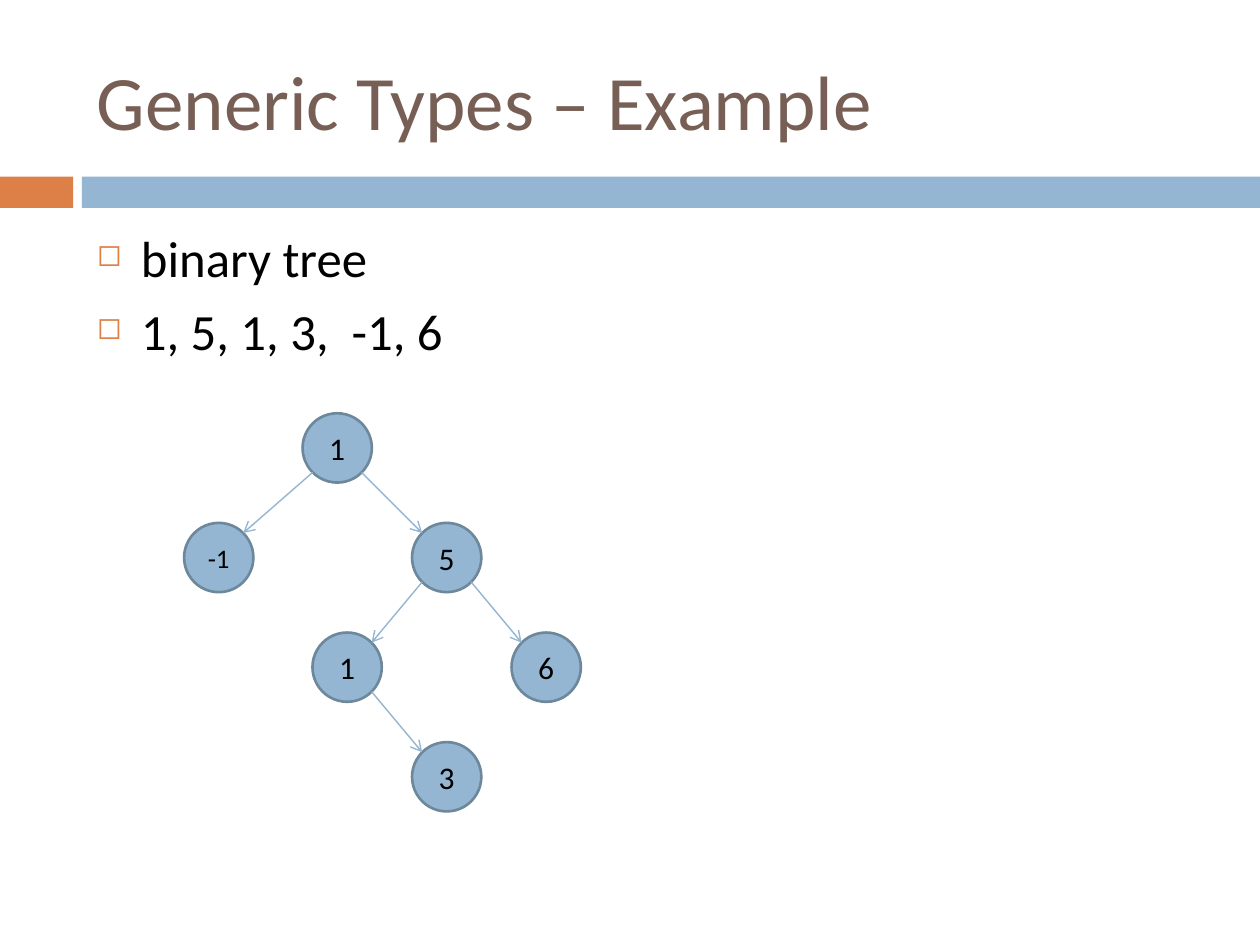
import math

import pptx
import pptx.dml.color
import pptx.enum.shapes
import pptx.enum.text
import pptx.oxml
import pptx.oxml.ns
import pptx.util

SHAPE = pptx.enum.shapes.MSO_SHAPE
ALIGN = pptx.enum.text.PP_ALIGN
ANCHOR = pptx.enum.text.MSO_ANCHOR


def color(value):
    """Turn a hex string into a colour."""
    return pptx.dml.color.RGBColor.from_string(value)


def add_xml(parent, tag, **attrs):
    """Append an empty DrawingML element to a parent."""
    child = pptx.oxml.parse_xml(f"<{tag} {pptx.oxml.ns.nsdecls('a')}/>")
    for name, value in attrs.items():
        child.set(name, value)
    parent.append(child)
    return child


class Deck:
    """Holds the style and the current slide."""

    FONT = "Calibri"
    ORANGE, BLUE, EDGE = "DD8047", "94B6D2", "6D879B"
    BROWN, BLACK = "775F55", "000000"
    LEFT, TOP, COLUMN, ROW, NODE = 2.48, 3.28, 0.79, 0.87, 0.55

    def __init__(self):
        self.prs = pptx.Presentation()
        self.prs.slide_width = pptx.util.Inches(10)
        self.prs.slide_height = pptx.util.Inches(7.5)
        self.s = self.prs.slides.add_slide(self.prs.slide_layouts[6])

    def area(self, x, y, w, h):
        """Convert shares of the slide's size into lengths."""
        width, height = self.prs.slide_width, self.prs.slide_height
        return [round(v) for v in (x * width, y * height, w * width, h * height)]

    def run(self, p, text, size, hue):
        """Add one styled run to a paragraph."""
        r = p.add_run()
        r.text = text
        r.font.name = self.FONT
        r.font.size = pptx.util.Pt(size)
        r.font.color.rgb = color(hue)

    def bar(self, x, y, w, h, hue):
        """Draw a plain coloured bar."""
        sp = self.s.shapes.add_shape(SHAPE.RECTANGLE, *self.area(x, y, w, h))
        sp.shadow.inherit = False
        sp.fill.solid()
        sp.fill.fore_color.rgb = color(hue)
        sp.line.fill.background()

    def textbox(self, x, y, w, h, anchor):
        """Add a wrapping text box and return its frame."""
        tf = self.s.shapes.add_textbox(*self.area(x, y, w, h)).text_frame
        tf.word_wrap = True
        tf.vertical_anchor = anchor
        return tf

    def title(self, text, *box):
        """Write the slide title."""
        tf = self.textbox(*box, ANCHOR.MIDDLE)
        self.run(tf.paragraphs[0], text, 44, self.BROWN)

    def bullets(self, items, *box):
        """Write a list with square bullets."""
        tf = self.textbox(*box, ANCHOR.TOP)
        indent = pptx.util.Inches(0.35)
        for i, text in enumerate(items):
            p = tf.add_paragraph() if i else tf.paragraphs[0]
            if i:
                p.space_before = pptx.util.Pt(7)
            pPr = p._p.get_or_add_pPr()
            pPr.set("marL", str(indent))
            pPr.set("indent", str(-indent))
            add_xml(add_xml(pPr, "a:buClr"), "a:srgbClr", val=self.ORANGE)
            add_xml(pPr, "a:buSzPct", val="60000")
            add_xml(pPr, "a:buChar", char="◻")
            self.run(p, text, 29, self.BLACK)

    def node(self, column, row, text, size=18):
        """Draw a tree node at a grid position."""
        x, y = self.LEFT + column * self.COLUMN, self.TOP + row * self.ROW
        sp = self.s.shapes.add_shape(
            SHAPE.OVAL, *(pptx.util.Inches(v) for v in (x, y, self.NODE, self.NODE)))
        sp.shadow.inherit = False
        sp.fill.solid()
        sp.fill.fore_color.rgb = color(self.BLUE)
        sp.line.color.rgb = color(self.EDGE)
        sp.line.width = pptx.util.Pt(1.5)
        tf = sp.text_frame
        tf.margin_left = tf.margin_right = tf.margin_top = tf.margin_bottom = 0
        tf.vertical_anchor = ANCHOR.MIDDLE
        p = tf.paragraphs[0]
        p.alignment = ALIGN.CENTER
        self.run(p, text, size, self.BLACK)
        return sp

    def edge(self, parent, child):
        """Draw an arrow between the diagonal rim points of two nodes."""
        side = 1 if child.left > parent.left else -1
        half = parent.width / 2
        reach = half * math.sqrt(0.5)
        ends = [round(start + half + sign * reach) for start, sign in (
            (parent.left, side), (parent.top, 1), (child.left, -side), (child.top, -1))]
        c = self.s.shapes.add_connector(
            pptx.enum.shapes.MSO_CONNECTOR.STRAIGHT, *ends)
        c.line.color.rgb = color(self.BLUE)
        c.line.width = pptx.util.Pt(0.79)
        add_xml(c.line._get_or_add_ln(), "a:tailEnd", type="arrow")
        add_xml(c._element.spPr, "a:effectLst")


def main():
    """Build the binary tree slide."""
    deck = Deck()
    deck.bar(0, 0.187, 0.058, 0.033, deck.ORANGE)
    deck.bar(0.065, 0.187, 0.935, 0.033, deck.BLUE)
    deck.title("Generic Types – Example", 0.067, 0.033, 0.892, 0.144)
    deck.bullets(["binary tree", "1, 5, 1, 3,  -1, 6"], 0.067, 0.233, 0.892, 0.161)

    root = deck.node(-0.1, 0, "1")
    minus_one = deck.node(-1.29, 1, "-1", 15.3)
    five = deck.node(1, 1, "5")
    one = deck.node(0, 2, "1")
    six = deck.node(2, 2, "6")
    three = deck.node(1, 3, "3")
    for parent, child in ((root, minus_one), (root, five), (five, one),
                          (five, six), (one, three)):
        deck.edge(parent, child)
    deck.prs.save("out.pptx")


if __name__ == "__main__":
    main()
